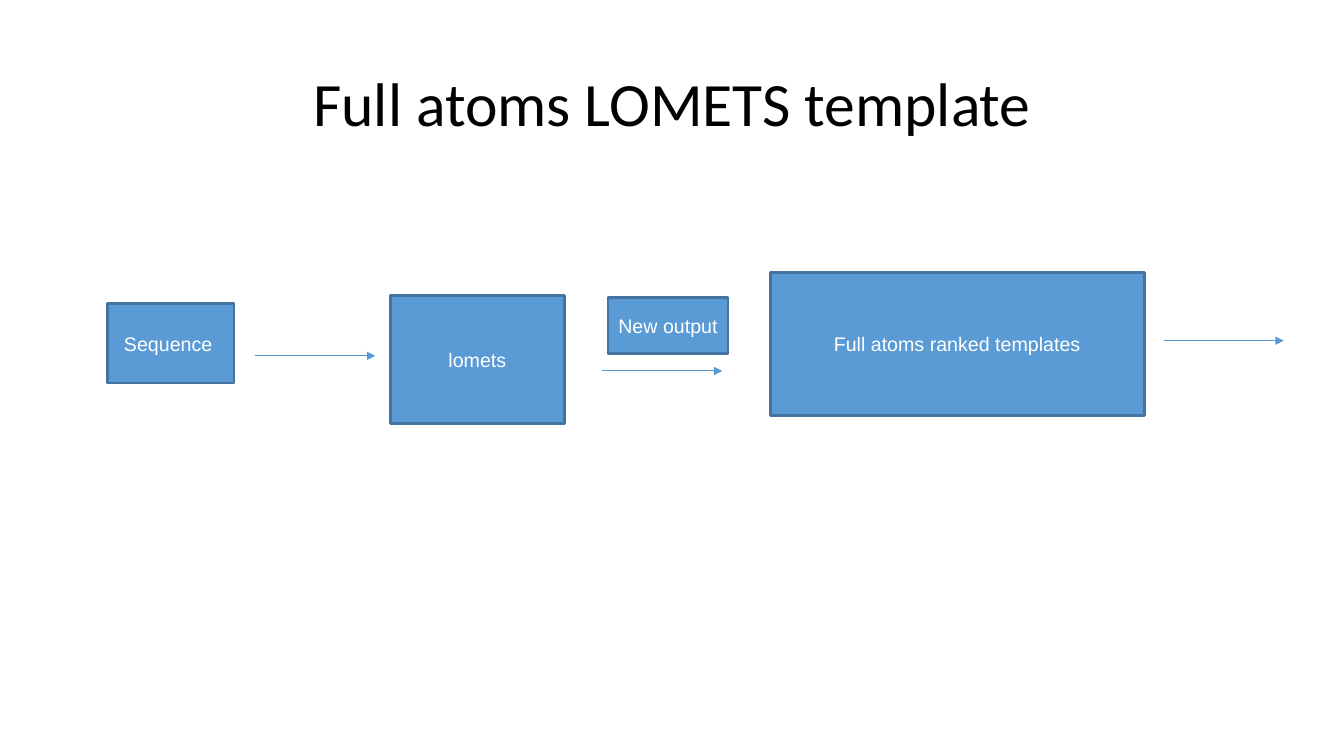
from lxml.etree import SubElement
from pptx import Presentation
from pptx.dml.color import RGBColor
from pptx.enum.shapes import MSO_CONNECTOR, MSO_SHAPE
from pptx.enum.text import MSO_ANCHOR, PP_ALIGN
from pptx.oxml.ns import qn
from pptx.util import Inches, Pt

# Content: positions and sizes are percentages of the slide's width and height
TITLE = "Full atoms LOMETS template"
TITLE_AREA = (6.9, 4.4, 86.27, 19.33)
STEPS = [  # text, (left, top, width, height)
    ("Sequence ", (8.03, 40.13, 9.38, 10.53)),
    ("lomets", (29.03, 39.07, 12.98, 16.93)),
    ("Full atoms ranked templates", (57.31, 36, 27.83, 18.93)),
    ("New output ", (45.24, 39.33, 8.93, 7.47)),
]
ARROW_STARTS = [(18.98, 47.07), (44.79, 49.07), (86.57, 45.07)]
ARROW_LENGTH = 8.95

BLACK = RGBColor(0x00, 0x00, 0x00)
WHITE = RGBColor(0xFF, 0xFF, 0xFF)
BOX_BLUE = RGBColor(0x5B, 0x9B, 0xD5)
BORDER_BLUE = RGBColor(0x43, 0x73, 0x9E)
ARROW_BLUE = RGBColor(0x56, 0x98, 0xD3)

presentation = Presentation()
presentation.slide_width = Inches(13.33)
presentation.slide_height = Inches(7.5)
slide = presentation.slides.add_slide(presentation.slide_layouts[5])


def across(share):
    return round(presentation.slide_width * share / 100)


def down(share):
    return round(presentation.slide_height * share / 100)


def place(area):
    left, top, width, height = area
    return across(left), down(top), across(width), down(height)


def write(shape, text, font_name, size, color):
    frame = shape.text_frame
    frame.text = text
    frame.word_wrap = True
    frame.vertical_anchor = MSO_ANCHOR.MIDDLE
    paragraph = frame.paragraphs[0]
    paragraph.alignment = PP_ALIGN.CENTER
    font = paragraph.runs[0].font
    font.name, font.size, font.color.rgb = font_name, Pt(size), color


def add_step(text, area):
    box = slide.shapes.add_shape(MSO_SHAPE.RECTANGLE, *place(area))
    box.shadow.inherit = False
    box.fill.solid()
    box.fill.fore_color.rgb = BOX_BLUE
    box.line.color.rgb = BORDER_BLUE
    box.line.width = Pt(2)
    write(box, text, "Arial", 14, WHITE)


def add_arrow(left, top):
    arrow = slide.shapes.add_connector(
        MSO_CONNECTOR.STRAIGHT,
        across(left), down(top), across(left + ARROW_LENGTH), down(top))
    arrow.line.color.rgb = ARROW_BLUE
    arrow.line.width = Pt(0.75)
    SubElement(arrow.line._get_or_add_ln(), qn("a:tailEnd"), type="triangle")
    SubElement(arrow._element.spPr, qn("a:effectLst"))


# Title
title = slide.shapes.title
title.left, title.top, title.width, title.height = place(TITLE_AREA)
write(title, TITLE, "Calibri", 44, BLACK)
title.text_frame.paragraphs[0].line_spacing = 0.9
frame = title.text_frame
frame.margin_left = frame.margin_right = Inches(0.05)
frame.margin_top = frame.margin_bottom = Inches(0.05)

# Flow of steps and arrows
for text, area in STEPS:
    add_step(text, area)
for left, top in ARROW_STARTS:
    add_arrow(left, top)

presentation.save("out.pptx")
